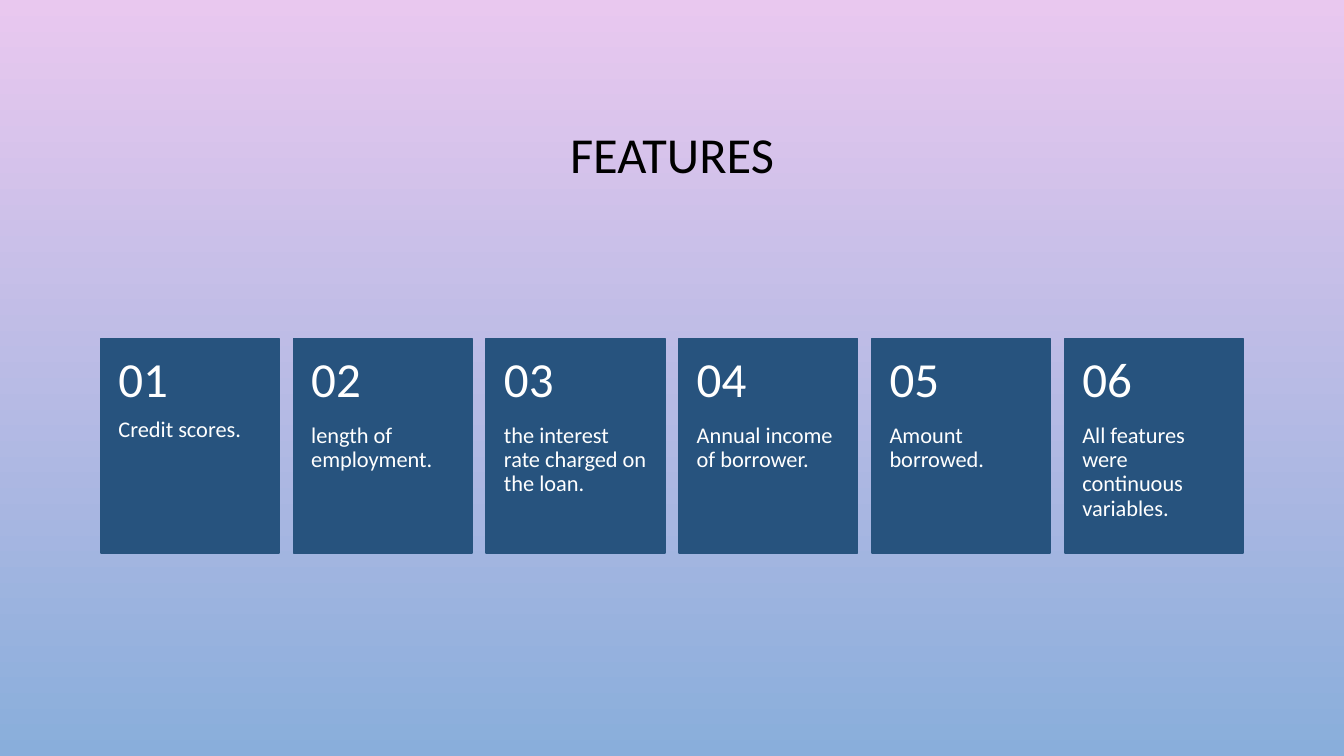
from dataclasses import dataclass

from pptx import Presentation
from pptx.dml.color import RGBColor
from pptx.enum.shapes import MSO_SHAPE as Preset
from pptx.enum.text import MSO_ANCHOR as Anchor, PP_ALIGN as Align
from pptx.slide import Slide
from pptx.util import Pt

PINK = RGBColor(0xE9, 0xC8, 0xEF)
SKY = RGBColor(0x89, 0xAE, 0xDB)
NAVY = RGBColor(0x27, 0x53, 0x7E)
BLACK = RGBColor(0x00, 0x00, 0x00)
WHITE = RGBColor(0xFF, 0xFF, 0xFF)

FONT = "Calibri"
CARD_LEFT, CARD_TOP = 72, 241.8
CARD_WIDTH, CARD_HEIGHT = 127.5, 153
CARD_PITCH = 137.7
NUMBER_HEIGHT = 61.2

FEATURES = [
    "Credit scores.",
    "length of employment.",
    "the interest rate charged on the loan.",
    "Annual income of borrower.",
    "Amount borrowed.",
    "All features were continuous variables.",
]


@dataclass(frozen=True)
class Area:
    left: float
    top: float
    width: float
    height: float

    def lengths(self) -> list[Pt]:
        return [Pt(v) for v in (self.left, self.top, self.width, self.height)]


@dataclass(frozen=True)
class Style:
    size: float
    color: RGBColor
    anchor: Anchor
    align: Align
    insets: tuple[float, float, float, float]


TITLE = Style(36, BLACK, Anchor.MIDDLE, Align.CENTER, (7.2, 3.6, 7.2, 3.6))
NUMBER = Style(35, WHITE, Anchor.MIDDLE, Align.LEFT, (12.6, 13, 12.6, 13))
LABEL = Style(16, WHITE, Anchor.TOP, Align.LEFT, (12.6, 0, 12.6, 26))


def add_text(page: Slide, area: Area, text: str, style: Style) -> None:
    frame = page.shapes.add_textbox(*area.lengths()).text_frame
    frame.word_wrap = True
    frame.vertical_anchor = style.anchor
    left, top, right, bottom = style.insets
    frame.margin_left, frame.margin_right = Pt(left), Pt(right)
    frame.margin_top, frame.margin_bottom = Pt(top), Pt(bottom)
    para = frame.paragraphs[0]
    para.alignment = style.align
    para.line_spacing = 0.9
    span = para.add_run()
    span.text = text
    span.font.name = FONT
    span.font.size = Pt(style.size)
    span.font.color.rgb = style.color


def add_card(page: Slide, index: int, label: str) -> None:
    left = CARD_LEFT + index * CARD_PITCH
    area = Area(left, CARD_TOP, CARD_WIDTH, CARD_HEIGHT)
    box = page.shapes.add_shape(Preset.RECTANGLE, *area.lengths())
    box.shadow.inherit = False
    box.fill.solid()
    box.fill.fore_color.rgb = NAVY
    box.line.color.rgb = NAVY
    box.line.width = Pt(1.25)
    number_area = Area(left, CARD_TOP, CARD_WIDTH, NUMBER_HEIGHT)
    label_area = Area(left, CARD_TOP + NUMBER_HEIGHT, CARD_WIDTH, CARD_HEIGHT - NUMBER_HEIGHT)
    add_text(page, label_area, label, LABEL)
    add_text(page, number_area, f"{index + 1:02}", NUMBER)


def paint_background(page: Slide) -> None:
    fill = page.background.fill
    fill.gradient()
    fill.gradient_angle = 270
    for stop, color in zip(fill.gradient_stops, (PINK, SKY)):
        stop.color.rgb = color


def main() -> None:
    deck = Presentation()
    deck.slide_width, deck.slide_height = Pt(960), Pt(540)
    page = deck.slides.add_slide(deck.slide_layouts[6])
    paint_background(page)
    add_text(page, Area(72, 49, 816, 126), "FEATURES", TITLE)
    for index, label in enumerate(FEATURES):
        add_card(page, index, label)
    deck.save("out.pptx")


if __name__ == "__main__":
    main()
